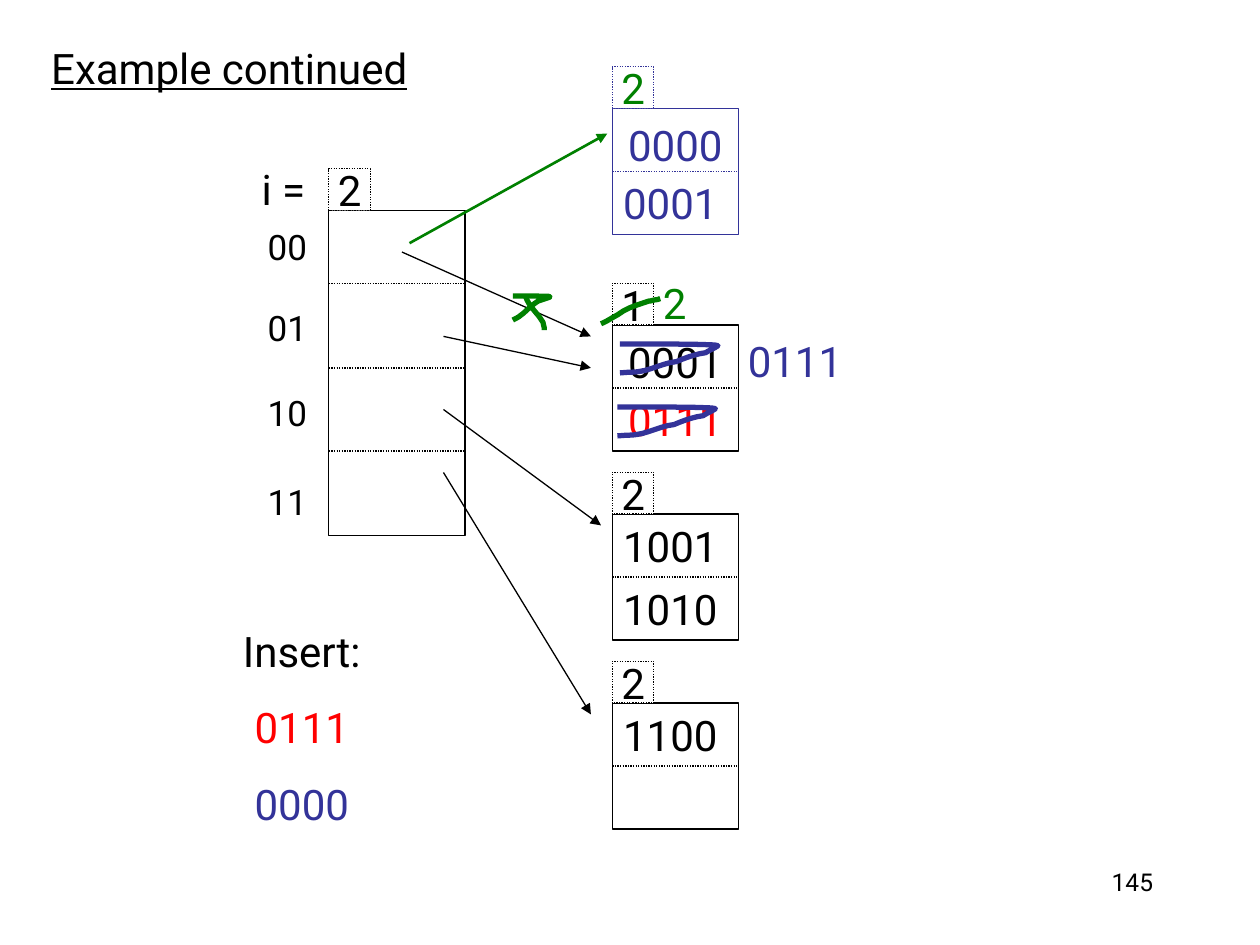
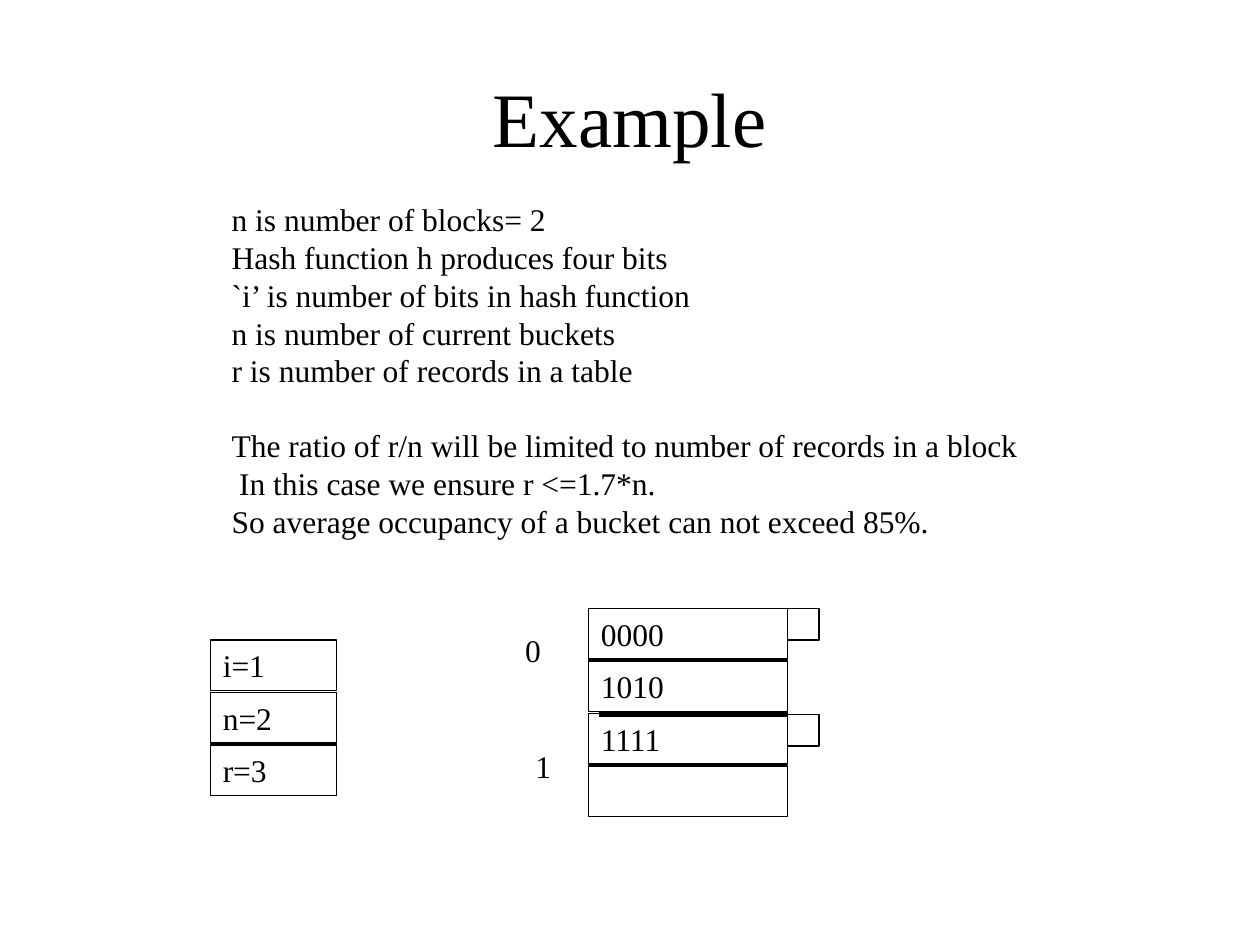
import pptx
import pptx.util
import pptx.dml.color
import pptx.enum.dml
import pptx.enum.shapes
import pptx.enum.text
from dataclasses import dataclass
from pptx.util import Inches, Pt
from pptx.enum.text import PP_ALIGN, MSO_ANCHOR, MSO_AUTO_SIZE
from lxml import etree


@dataclass(frozen=True)
class Theme:
    ink: str = "000000"
    paper: str = "FFFFFF"
    red: str = "FF0000"
    blue: str = "333399"
    green: str = "008000"
    sans: str = "Roboto"
    serif: str = "Times New Roman"
    title: int = 44
    diagram: int = 24
    index: int = 20
    body: int = 18
    number: int = 14
    thin: float = 0.75
    medium: float = 1.5
    thick: float = 3


T = Theme()

BUCKET_X, BUCKET_SIZE, TAB = 4.86, 1.0, 0.33
HIGH, RIGHT, LEFT = (0.02, 0.04), (0.02, 0), (-0.02, 0)
BUCKETS = [
    (0.86, "2", T.green, T.blue, [("0000", T.blue, HIGH), ("0001", T.blue, LEFT)]),
    (2.58, "1", T.ink, T.ink, [("0001", T.ink, HIGH), ("0111", T.red, RIGHT)]),
    (4.08, "2", T.ink, T.ink, [("1001", T.ink, LEFT), ("1010", T.ink, LEFT)]),
    (5.58, "2", T.ink, T.ink, [("1100", T.ink, LEFT)]),
]

DIRECTORY = (2.61, 1.67, 1.08, 2.58)
DIRECTORY_RULES = [2.25, 2.92, 3.58]
DIRECTORY_INDEX = [("00", 1), ("01", 1.4), ("10", 1.5), ("11", 1.6)]
INSERTS = [("Insert:", T.ink), ("0111", T.red), ("0000", T.blue)]

ARROWS = [
    ((3.19, 2), (4.69, 2.67), T.ink, T.thin),
    ((3.52, 2.67), (4.69, 2.92), T.ink, T.thin),
    ((3.52, 3.25), (4.77, 4.17), T.ink, T.thin),
    ((3.52, 3.75), (4.69, 5.67), T.ink, T.thin),
    ((3.25, 1.93), (4.82, 1.06), T.green, T.medium),
]

STRIKE = [(0, 0.23), (0.12, 0.22), (0.11, 0.23), (0.2, 0.21), (0.28, 0.19),
          (0.36, 0.15), (0.45, 0.14), (0.52, 0.11), (0.6, 0.08), (0.68, 0.07),
          (0.71, 0.05), (0.74, 0.04), (0.77, 0.02), (0.79, 0.01), (0.84, 0)]
CROSS_UP = [(0, 0.19), (0.08, 0.16), (0.13, 0.08), (0.2, 0.04), (0.23, 0.03),
            (0.26, 0.02), (0.29, 0.01), (0.3, 0), (0.32, 0)]
CROSS_DOWN = [(0, 0), (0.02, 0.06), (0.05, 0.09), (0.09, 0.14), (0.11, 0.16),
              (0.14, 0.21), (0.14, 0.21), (0.15, 0.26), (0.15, 0.24), (0.15, 0.27)]
DEPTH_STRIKE = [(0, 0.2), (0.05, 0.18), (0.09, 0.15), (0.13, 0.13), (0.21, 0.07),
                (0.29, 0.05), (0.38, 0.02), (0.4, 0.02), (0.42, 0.01), (0.43, 0.01),
                (0.45, 0.01), (0.47, 0), (0.47, 0)]
PEN_MARKS = [
    (4.92, 2.73, STRIKE, T.blue),
    (4.9, 3.23, STRIKE, T.blue),
    (4.07, 2.35, CROSS_UP, T.green),
    (4.17, 2.35, CROSS_DOWN, T.green),
    (4.77, 2.37, DEPTH_STRIKE, T.green),
]
CURVE_STEPS = 5

NOTES = [
    ("n is number of blocks= 2", 0, 0),
    ("Hash function h produces four bits", 0, 0),
    ("`i’ is number of bits in hash function", 0, 0),
    ("n is number of current buckets", 0, 0),
    ("r is number of records in a table", 0, 0),
    ("The ratio of r/n will be limited to number of records in a block", 21, 0),
    ("In this case we ensure r <=1.7*n.", 0, 0.06),
    ("So average occupancy of a bucket can not exceed 85%.", 0, 0),
]
STACKS = [
    (1.67, 5.08, 1, ["i=1", "n=2", "r=3"]),
    (4.67, 4.83, 1.58, ["0000", "1010", "1111", ""]),
]
CELL_H, CELL_PITCH = 0.4, 5 / 12
OVERFLOW_TABS = [4.83, 5.67]
BUCKET_NUMBERS = [("0", 4.07, 4.96), ("1", 4.15, 5.88)]


def rgb(color):
    return pptx.dml.color.RGBColor.from_string(color)


def style_line(shape, color, width, dotted=False):
    shape.line.color.rgb = rgb(color)
    shape.line.width = Pt(width)
    if dotted:
        shape.line.dash_style = pptx.enum.dml.MSO_LINE.ROUND_DOT


def write(shape, paras, size, font, align=PP_ALIGN.CENTER, anchor=MSO_ANCHOR.MIDDLE, wrap=False):
    tf = shape.text_frame
    tf.word_wrap = wrap
    tf.vertical_anchor = anchor
    for i, (text, color, before, spacing, indent) in enumerate(paras):
        p = tf.paragraphs[0] if i == 0 else tf.add_paragraph()
        p.alignment = align
        p.line_spacing = spacing
        p.space_before = Pt(before if i else 0)
        if indent:
            p._p.get_or_add_pPr().set("marL", str(Inches(indent)))
        r = p.add_run()
        r.text = text
        r.font.size = Pt(size)
        r.font.name = font
        r.font.color.rgb = rgb(color)
    return tf


def line_of(text, color=T.ink, before=0, spacing=1, indent=0):
    return (text, color, before, spacing, indent)


def text_box(s, box, paras, size, font, wrap=False, **layout):
    sp = s.shapes.add_textbox(*map(Inches, box))
    tf = write(sp, paras, size, font, wrap=wrap, **layout)
    if not wrap:
        tf.auto_size = MSO_AUTO_SIZE.SHAPE_TO_FIT_TEXT
    return tf


def rect(s, box, color=T.ink, fill=None, dotted=False):
    sp = s.shapes.add_shape(pptx.enum.shapes.MSO_SHAPE.RECTANGLE, *map(Inches, box))
    sp.shadow.inherit = False
    if fill:
        sp.fill.solid()
        sp.fill.fore_color.rgb = rgb(fill)
    else:
        sp.fill.background()
    style_line(sp, color, T.thin, dotted)
    return sp


def connect(s, start, end, color=T.ink, width=T.thin, dotted=False, arrow=False):
    cx = s.shapes.add_connector(pptx.enum.shapes.MSO_CONNECTOR.STRAIGHT,
                                *map(Inches, start + end))
    style_line(cx, color, width, dotted)
    ns = pptx.oxml.ns.qn
    if arrow:
        etree.SubElement(cx.line._get_or_add_ln(), ns("a:tailEnd"), type="triangle")
    etree.SubElement(cx._element.spPr, ns("a:effectLst"))


def curve_points(knots):
    for i in range(0, len(knots) - 1, 3):
        for step in range(1, CURVE_STEPS + 1):
            t = step / CURVE_STEPS
            weights = ((1 - t) ** 3, 3 * t * (1 - t) ** 2, 3 * t * t * (1 - t), t ** 3)
            yield tuple(sum(w * k[axis] for w, k in zip(weights, knots[i:i + 4]))
                        for axis in (0, 1))


def pen_mark(s, x, y, knots, color):
    def place(pt):
        return Inches(x + pt[0]), Inches(y + pt[1])
    fb = s.shapes.build_freeform(*place(knots[0]))
    fb.add_line_segments([place(pt) for pt in curve_points(knots)], close=False)
    sp = fb.convert_to_shape()
    sp.shadow.inherit = False
    sp.fill.background()
    style_line(sp, color, T.thick)


def tabbed_box(s, box, label, label_color, color, rules):
    x, y, w, h = box
    rect(s, box, color, T.paper)
    tab = rect(s, (x, y - TAB, TAB, TAB), color, T.paper, dotted=True)
    write(tab, [line_of(label, label_color)], T.diagram, T.sans)
    for rule_y in rules:
        connect(s, (x, rule_y), (x + w, rule_y), color, dotted=True)


def label(s, box, text, color=T.ink):
    return text_box(s, box, [line_of(text, color)], T.diagram, T.sans)


def build_insertion(s):
    half = BUCKET_SIZE / 2
    for y, depth, depth_color, color, rows in BUCKETS:
        tabbed_box(s, (BUCKET_X, y, BUCKET_SIZE, BUCKET_SIZE), depth, depth_color, color, [y + half])
        for i, (key, key_color, (dx, dy)) in enumerate(rows):
            label(s, (BUCKET_X + dx, y + i * half + dy, 0.96, half), key, key_color)
    tabbed_box(s, DIRECTORY, "2", T.ink, T.ink, DIRECTORY_RULES)
    label(s, (1.97, 1.25, 0.56, 0.5), "i =")
    text_box(s, (2.02, 1.74, 0.52, 2.46),
             [line_of(bits, before=12.5, spacing=gap) for bits, gap in DIRECTORY_INDEX],
             T.index, T.sans)
    text_box(s, (1.79, 4.91, 1.21, 1.72),
             [line_of(text, color, 15) for text, color in INSERTS], T.diagram, T.sans)
    for start, end, color, width in ARROWS:
        connect(s, start, end, color, width, arrow=True)
    for mark in PEN_MARKS:
        pen_mark(s, *mark)
    label(s, (5.83, 2.61, 0.96, 0.5), "0111", T.blue)
    label(s, (5.16, 2.15, 0.39, 0.5), "2", T.green)
    tf = label(s, (0.22, 0.29, 3.2, 0.5), "Example continued")
    tf.paragraphs[0].runs[0].font.underline = True
    text_box(s, (7.17, 6.83, 2.08, 0.5), [line_of("145")], T.number, T.sans,
             wrap=True, align=PP_ALIGN.RIGHT, anchor=MSO_ANCHOR.TOP)


def build_linear_hash(s):
    plain = dict(align=PP_ALIGN.LEFT, anchor=MSO_ANCHOR.TOP)
    text_box(s, (0.5, 0.3, 9, 1.25), [line_of("Example")], T.title, T.serif, wrap=True)
    text_box(s, (1.74, 1.54, 6.44, 2.8),
             [line_of(text, before=before, indent=indent) for text, before, indent in NOTES],
             T.body, T.serif, **plain)
    for x, y, w, cells in STACKS:
        for i, text in enumerate(cells):
            sp = rect(s, (x, y + i * CELL_PITCH, w, CELL_H))
            if text:
                write(sp, [line_of(text)], T.body, T.serif, wrap=True, **plain)
    connect(s, (4.75, 5.67), (6.25, 5.67), width=T.thick)
    for y in OVERFLOW_TABS:
        rect(s, (6.25, y, 0.25, 0.25))
    for number, x, y in BUCKET_NUMBERS:
        text_box(s, (x, y, 0.32, 0.4), [line_of(number)], T.body, T.serif, **plain)


def main():
    prs = pptx.Presentation()
    prs.slide_width, prs.slide_height = Inches(10), Inches(7.5)
    for build in (build_insertion, build_linear_hash):
        build(prs.slides.add_slide(prs.slide_layouts[6]))
    prs.save("out.pptx")


if __name__ == "__main__":
    main()
